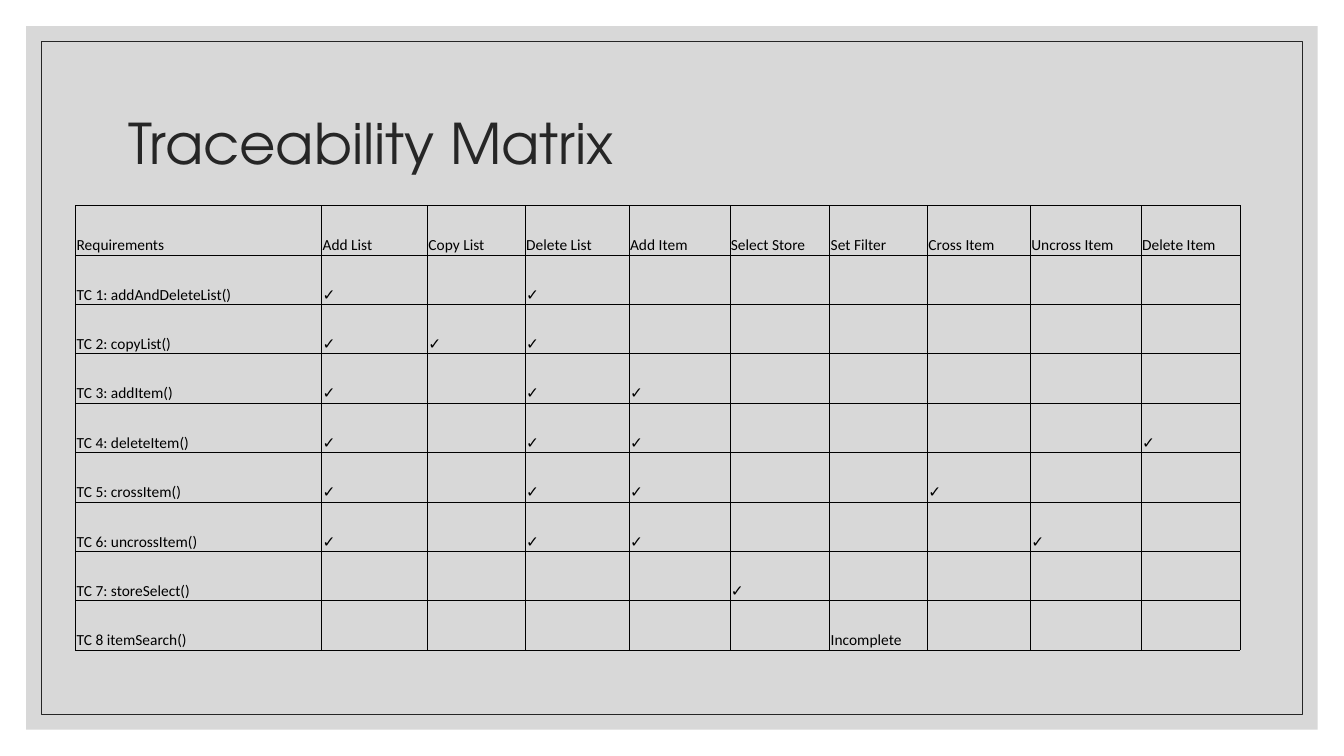
from lxml import etree
from pptx import Presentation
from pptx.dml.color import RGBColor
from pptx.enum.shapes import MSO_SHAPE
from pptx.enum.text import MSO_ANCHOR, MSO_AUTO_SIZE, PP_ALIGN
from pptx.oxml.ns import qn
from pptx.util import Inches, Pt

RECT = MSO_SHAPE.RECTANGLE
MIDDLE, BOTTOM = MSO_ANCHOR.MIDDLE, MSO_ANCHOR.BOTTOM
LEFT = PP_ALIGN.LEFT
NO_AUTOFIT = MSO_AUTO_SIZE.NONE

WIDTH, HEIGHT = 13.33, 7.5
COLORS = {"panel": "BFBFBF", "ink": "262626", "grid": "000000"}
TITLE_FONT, TABLE_FONT = "TeX Gyre Adventor", "Calibri"

TABLE_LEFT, TABLE_TOP = 0.75, 2.04
ROW_HEIGHT = 0.49
COL_WIDTHS = [2.44, 1.05, 0.97, 1.03, 1, 0.99, 0.97, 1.02, 1.1, 0.98]
CHECK = "✓"
FEATURES = ["Add List", "Copy List", "Delete List", "Add Item", "Select Store",
            "Set Filter", "Cross Item", "Uncross Item", "Delete Item"]
TEST_CASES = [
    ("TC 1: addAndDeleteList()", {"Add List": CHECK, "Delete List": CHECK}),
    ("TC 2: copyList()", dict.fromkeys(FEATURES[:3], CHECK)),
    *((name, dict.fromkeys(["Add List", "Delete List", "Add Item", *extra], CHECK))
      for name, extra in [("TC 3: addItem()", []),
                          ("TC 4: deleteItem()", ["Delete Item"]),
                          ("TC 5: crossItem()", ["Cross Item"]),
                          ("TC 6: uncrossItem()", ["Uncross Item"])]),
    ("TC 7: storeSelect()", {"Select Store": CHECK}),
    ("TC 8 itemSearch()", {"Set Filter": "Incomplete"}),
]


def rgb(name):
    return RGBColor.from_string(COLORS[name])


def add_run(p, text, font, size, color):
    r = p.add_run()
    r.text = text
    r.font.name, r.font.size, r.font.bold = font, Pt(size), False
    r.font.color.rgb = rgb(color)


def add_inset_rect(s, margin):
    """Add a plain rectangle behind the title, inset evenly from the slide's edges."""
    sp = s.shapes.add_shape(RECT, Inches(margin), Inches(margin),
                            Inches(WIDTH - 2 * margin), Inches(HEIGHT - 2 * margin))
    sp.shadow.inherit = False
    s.shapes.title.element.addprevious(sp.element)
    return sp


def add_panel(s):
    sp = add_inset_rect(s, 0.26)
    sp.fill.solid()
    sp.fill.fore_color.rgb = rgb("panel")
    sp.line.fill.background()
    color = sp.element.spPr.find(qn("a:solidFill"))[0]
    etree.SubElement(color, qn("a:alpha"), val="60000")


def add_frame(s):
    sp = add_inset_rect(s, 0.41)
    sp.fill.background()
    sp.line.color.rgb = rgb("ink")
    sp.line.width = Pt(0.5)


def set_title(s, text):
    sp = s.shapes.title
    sp.left, sp.top, sp.width, sp.height = map(Inches, (1.17, 0.7, 11, 1.5))
    tf = sp.text_frame
    tf.auto_size = NO_AUTOFIT
    tf.word_wrap = True
    tf.vertical_anchor = MIDDLE
    p = tf.paragraphs[0]
    p.alignment, p.line_spacing = LEFT, 0.9
    add_run(p, text, TITLE_FONT, 40, "ink")


def set_borders(cell):
    tc_pr = cell._tc.get_or_add_tcPr()
    for i, side in enumerate(("lnL", "lnR", "lnT", "lnB")):
        ln = etree.Element(qn(f"a:{side}"), w=str(Pt(0.5)))
        fill = etree.SubElement(ln, qn("a:solidFill"))
        etree.SubElement(fill, qn("a:srgbClr"), val=COLORS["grid"])
        tc_pr.insert(i, ln)


def fill_cell(cell, text):
    cell.fill.background()
    cell.vertical_anchor = BOTTOM
    cell.margin_left = cell.margin_right = cell.margin_top = Inches(0.01)
    cell.margin_bottom = 0
    set_borders(cell)
    if text:
        add_run(cell.text_frame.paragraphs[0], text, TABLE_FONT, 11, "grid")


def add_matrix(s):
    rows = [["Requirements", *FEATURES]]
    rows += [[name, *(marks.get(f, "") for f in FEATURES)] for name, marks in TEST_CASES]
    table = s.shapes.add_table(
        len(rows), len(COL_WIDTHS), Inches(TABLE_LEFT), Inches(TABLE_TOP),
        Inches(sum(COL_WIDTHS)), Inches(ROW_HEIGHT * len(rows))).table
    table.first_row = table.horz_banding = False
    for col, width in zip(table.columns, COL_WIDTHS):
        col.width = Inches(width)
    for i, row in enumerate(rows):
        table.rows[i].height = Inches(ROW_HEIGHT)
        for j, text in enumerate(row):
            fill_cell(table.cell(i, j), text)


def main():
    prs = Presentation()
    prs.slide_width, prs.slide_height = Inches(WIDTH), Inches(HEIGHT)
    s = prs.slides.add_slide(prs.slide_layouts[5])
    add_panel(s)
    add_frame(s)
    set_title(s, "Traceability Matrix")
    add_matrix(s)
    prs.save("out.pptx")


if __name__ == "__main__":
    main()
